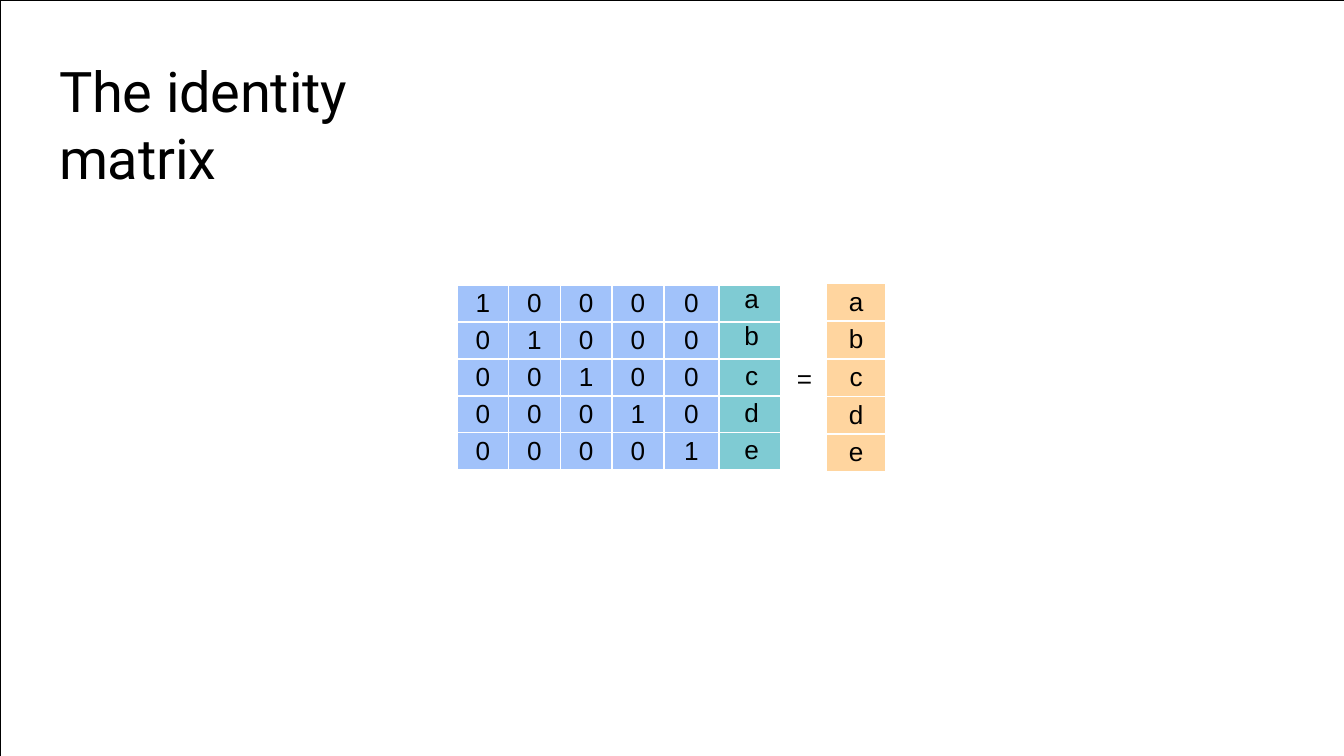
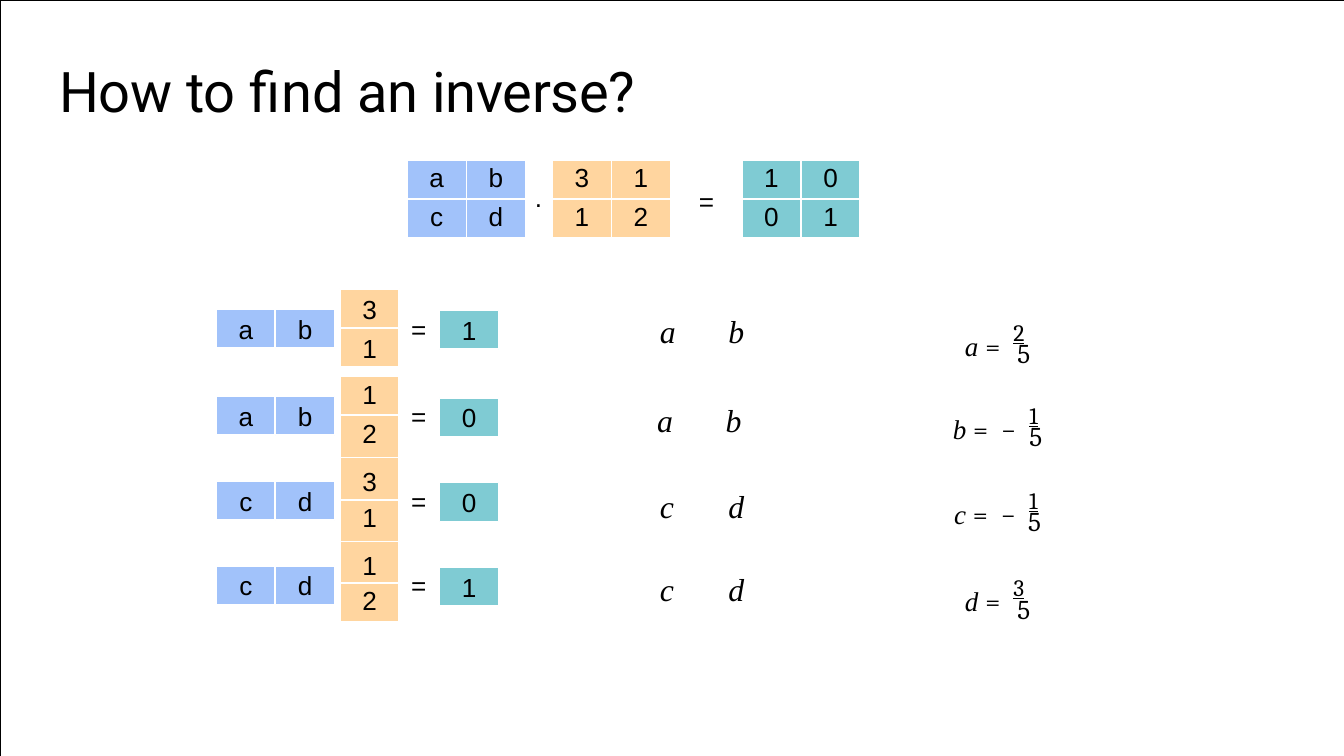
from dataclasses import dataclass
from lxml.etree import SubElement
from pptx import Presentation
from pptx.dml.color import RGBColor
from pptx.enum.shapes import MSO_SHAPE
from pptx.enum.text import MSO_ANCHOR, MSO_AUTO_SIZE, PP_ALIGN
from pptx.oxml.ns import qn
from pptx.util import Emu, Pt

WIDE, HIGH = 2000, 1125


def px(count):
    return Emu(count * 4572)  # 200 px to the inch


@dataclass(frozen=True)
class Theme:
    ink: str = "000000"
    paper: str = "FFFFFF"
    blue: str = "A1C2FA"
    teal: str = "7FCBD3"
    sand: str = "FFD59F"
    head: str = "Roboto"
    sans: str = "Arial"
    serif: str = "Times New Roman"
    math: str = "Cambria"
    title: float = 30
    body: float = 14
    var: float = 17
    term: float = 14.5
    over: float = 21.8
    pad: int = 6


T = Theme()


def put(frame, *runs, font=T.sans, size=T.body, align=PP_ALIGN.LEFT,
        left=0, top=T.pad, tab=None, **look):
    """Write one paragraph; a run is a string or (string, own format)."""
    frame.word_wrap = True
    frame.vertical_anchor = MSO_ANCHOR.TOP
    frame.margin_left, frame.margin_top = px(left), px(top)
    frame.margin_right = frame.margin_bottom = 0
    para = frame.paragraphs[0]
    para.alignment = align
    para.space_before = Pt(0)
    if tab:
        stops = SubElement(para._p.get_or_add_pPr(), qn("a:tabLst"))
        SubElement(stops, qn("a:tab"), pos=str(px(tab)), algn="l")
    base = dict(font=font, size=size, **look)
    for item in runs:
        words, own = (item, {}) if isinstance(item, str) else item
        fmt = {**base, **own}
        run = para.add_run()
        run.text = words
        run.font.name = fmt["font"]
        run.font.size = Pt(fmt["size"])
        run.font.italic = fmt.get("italic", False)
        run.font.underline = fmt.get("under", False)
        run.font.color.rgb = RGBColor.from_string(T.ink)
        props = run._r.get_or_add_rPr()
        if "gap" in fmt:
            props.set("spc", str(round(fmt["gap"] * 100)))
        if "lift" in fmt:
            props.set("baseline", str(fmt["lift"] * 1000))


class Deck:
    def __init__(self):
        self.file = Presentation()
        self.file.slide_width, self.file.slide_height = px(WIDE), px(HIGH)
        self.slide = None

    def page(self, title, wide):
        """Start a slide with the thin frame and its title."""
        self.slide = self.file.slides.add_slide(self.file.slide_layouts[5])
        self.rect(0, 0, WIDE, HIGH, None, T.ink, 0.25)
        head = self.slide.shapes.title
        head.left, head.top, head.width, head.height = map(px, (86, 78, wide, 106))
        put(head.text_frame, title, font=T.head, size=T.title, left=2, gap=-0.1)
        head.text_frame.auto_size = MSO_AUTO_SIZE.SHAPE_TO_FIT_TEXT

    def rect(self, x, y, wide, high, fill, line, weight):
        box = self.slide.shapes.add_shape(MSO_SHAPE.RECTANGLE, *map(px, (x, y, wide, high)))
        box.shadow.inherit = False
        if fill:
            box.fill.solid()
            box.fill.fore_color.rgb = RGBColor.from_string(fill)
        else:
            box.fill.background()
        box.line.color.rgb = RGBColor.from_string(line)
        box.line.width = Pt(weight)
        return box

    def tile(self, x, y, words, fill):
        box = self.rect(x, y, 88, 58, fill, T.paper, 1)
        put(box.text_frame, words, align=PP_ALIGN.CENTER)

    def text(self, x, y, wide, high, *runs, left=2, **look):
        box = self.slide.shapes.add_textbox(*map(px, (x, y, wide, high)))
        put(box.text_frame, *runs, left=left, **look)
        box.text_frame.auto_size = MSO_AUTO_SIZE.SHAPE_TO_FIT_TEXT

    def sign(self, x, y, mark="="):
        self.text(x, y, 28, 52, mark)

    def grid(self, x, y, cols, rows, data, fills):
        """Add a matrix; data is one string per row, fills one colour per column."""
        shape = self.slide.shapes.add_table(
            len(rows), len(cols), *map(px, (x, y, sum(cols), sum(rows))))
        table = shape.table
        table.first_row = table.horz_banding = False
        for col, wide in zip(table.columns, cols):
            col.width = px(wide)
        for row, high, words in zip(table.rows, rows, data):
            row.height = px(high)
            for cell, word, fill in zip(row.cells, words, fills):
                self.cell(cell, word, fill)
        return table

    def cell(self, cell, word, fill):
        props = cell._tc.get_or_add_tcPr()
        for side in "LRTB":
            line = SubElement(props, qn(f"a:ln{side}"), w=str(Pt(1)))
            paint = SubElement(line, qn("a:solidFill"))
            SubElement(paint, qn("a:srgbClr"), val=T.paper)
        cell.fill.solid()
        cell.fill.fore_color.rgb = RGBColor.from_string(fill)
        put(cell.text_frame, word, align=PP_ALIGN.CENTER)
        cell.margin_left = cell.margin_right = cell.margin_bottom = 0
        cell.margin_top = px(T.pad)

    def value(self, x, y, wide, name, sign, top, low):
        """Add a variable and its fraction; low is the left of the 5."""
        self.text(x, y, wide, 54, (f"{name} ", dict(font=T.serif, italic=True)),
                  (f"{sign} ", dict(gap=1.9)),
                  (top, dict(size=T.over, gap=-1.2, under=True, lift=38)),
                  font=T.math, size=T.term, left=8)
        self.text(low, y + 31, 26, 54, "5", font=T.math, size=T.term, gap=-0.8)


def unit(deck):
    deck.page("The identity matrix", 670)
    # Identity matrix next to its vector
    names = "abcde"
    data = ["".join("1" if r == c else "0" for c in range(5)) + names[r]
            for r in range(5)]
    table = deck.grid(680, 424, [77] * 4 + [82, 92], [55] * 5, data,
                      [T.blue] * 5 + [T.teal])
    for row, top in enumerate((0, 0, 4, 5, 5)):
        cell = table.cell(row, 5)
        cell.margin_left, cell.margin_top = px(6), px(top)
    # Result
    deck.grid(1230, 422, [88], [56] * 5, names, [T.sand])
    deck.sign(1184, 534)


def inverse(deck):
    deck.page("How to find an inverse?", 876)
    # Matrix product
    for x, data, fill in ((606, ("ab", "cd"), T.blue), (822, ("31", "12"), T.sand),
                          (1104, ("10", "01"), T.teal)):
        deck.grid(x, 238, [88] * 2, [58] * 2, data, [fill] * 2)
    deck.sign(794, 264, ".")
    deck.sign(1038, 270)
    # One equation per entry: row top, names, result, place of the names
    for y, pair, total, x, base in ((460, "ab", "1", 980, 458), (590, "ab", "0", 976, 590),
                                    (716, "cd", "0", 980, 718), (842, "cd", "1", 980, 842)):
        for place, name in enumerate(pair):
            deck.tile(322 + 88 * place, y, name, T.blue)
        deck.tile(654, y + 2, total, T.teal)
        deck.sign(610, y)
        deck.text(x, base, 130, 62, "\t".join(pair), font=T.serif, size=T.var,
                  italic=True, gap=-0.1, tab=102)
    # Columns of the known matrix
    for place, digit in enumerate("31"):
        deck.tile(506, 430 + 58 * place, digit, T.sand)
    table = deck.grid(506, 560, [88], [58, 63, 63, 62, 62, 58], "123112", [T.sand])
    for row in (2, 4):
        table.cell(row, 0).margin_top = px(15)
    # Solutions
    deck.value(1428, 464, 114, "a", "=", "2", 1512)
    deck.value(1410, 588, 150, "b", "= −", "1", 1530)
    deck.value(1412, 714, 148, "c", "= −", "1", 1528)
    deck.value(1428, 844, 114, "d", "=", "3", 1512)


def main():
    deck = Deck()
    unit(deck)
    inverse(deck)
    deck.file.save("out.pptx")


if __name__ == "__main__":
    main()
